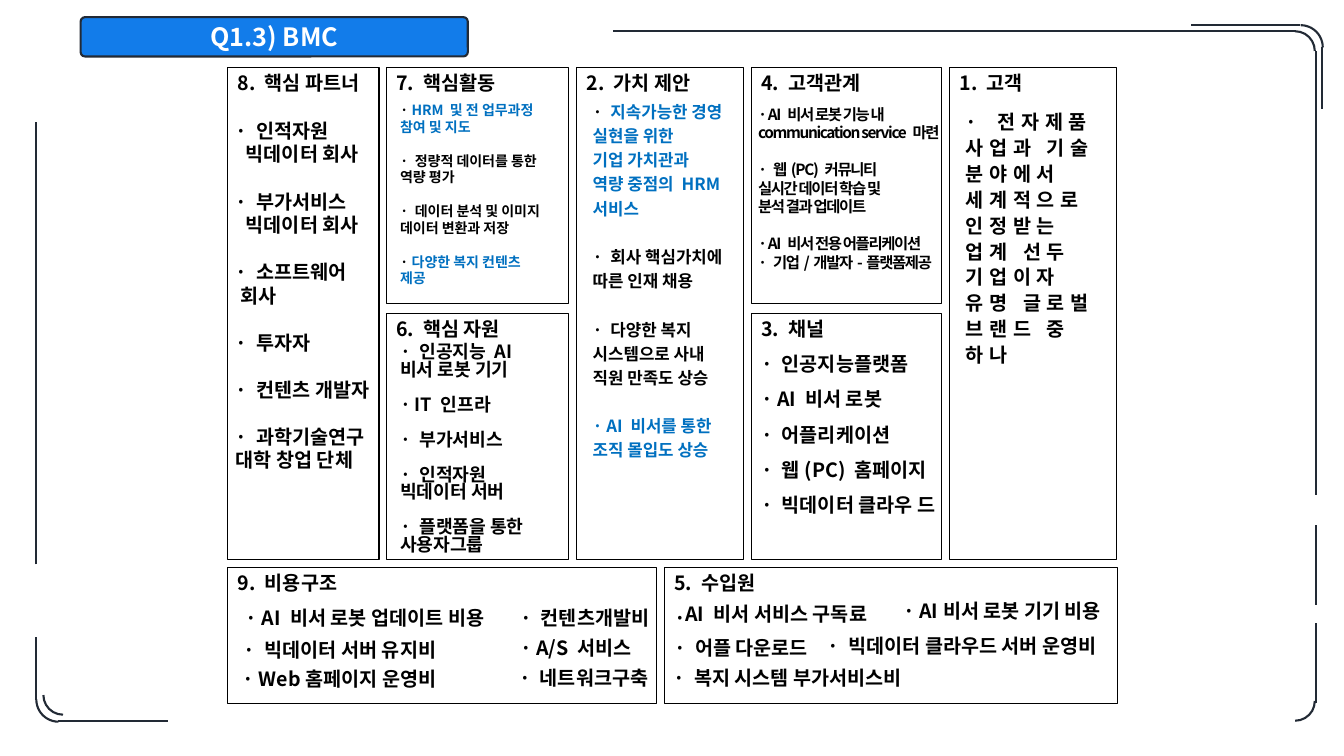
from lxml.etree import SubElement
from pptx import Presentation
from pptx.dml.color import RGBColor
from pptx.enum.shapes import MSO_CONNECTOR as Connector, MSO_SHAPE as Preset
from pptx.enum.text import MSO_ANCHOR as Anchor, MSO_AUTO_SIZE as AutoSize, PP_ALIGN as Align
from pptx.oxml.ns import qn
from pptx.util import Inches, Pt

FONT = "Noto Sans CJK KR"
LINE_HEIGHT = 1.2
BLACK = RGBColor(0, 0, 0)
WHITE = RGBColor(255, 255, 255)
BLUE = RGBColor(0x00, 0x70, 0xC0)
BANNER_BLUE = RGBColor(0x12, 0x7C, 0xEA)
NAVY = RGBColor(0x22, 0x2A, 0x35)

BLOCKS = [
    ((9.42, 0.67, 1.65, 4.88), ["1. 고객"]),
    ((5.72, 0.67, 1.65, 4.88), ["2. 가치 제안"]),
    ((7.45, 3.11, 1.89, 2.44), ["3. 채널", "· 인공지능플랫폼", "· AI 비서 로봇", "· 어플리케이션",
                                "· 웹(PC) 홈페이지", "· 빅데이터 클라우 드"]),
    ((7.45, 0.67, 1.89, 2.34), ["4. 고객관계"]),
    ((6.59, 5.63, 4.49, 1.35), ["5. 수입원", "·"]),
    ((3.83, 3.11, 1.81, 2.44), ["6. 핵심 자원"]),
    ((3.83, 0.67, 1.81, 2.34), ["7. 핵심활동"]),
    ((2.26, 0.67, 1.5, 4.88), ["8. 핵심 파트너"]),
    ((2.26, 5.63, 4.25, 1.35), ["9. 비용구조"]),
]

LABELS = [
    ((5.05, 6.56, 1.79, 0.33), "· 네트워크구축"),
    ((2.34, 5.96, 2.77, 0.33), "· AI 비서 로봇 업데이트 비용"),
    ((2.32, 6.28, 2.49, 0.33), "· 빅데이터 서버 유지비"),
    ((5.06, 5.96, 1.55, 0.33), "· 컨텐츠개발비"),
    ((5.06, 6.26, 1.4, 0.33), "· A/S 서비스"),
    ((2.31, 6.57, 2.45, 0.33), "· Web홈페이지 운영비"),
    ((6.7, 5.92, 2.4, 0.33), "AI 비서 서비스 구독료"),
    ((6.59, 6.26, 1.64, 0.33), "· 어플 다운로드"),
    ((6.58, 6.56, 2.61, 0.33), "· 복지 시스템 부가서비스비"),
    ((8.86, 5.89, 2.61, 0.33), "· AI비서 로봇 기기 비용"),
    ((8.11, 6.24, 3.12, 0.33), "· 빅데이터 클라우드 서버 운영비"),
]

PARTNERS = [
    ["· 인적자원", ("빅데이터 회사", 0.1)],
    ["· 부가서비스", ("빅데이터 회사", 0.1)],
    ["· 소프트웨어", ("회사", 0.05)],
    ["· 투자자"],
    ["· 컨텐츠 개발자"],
    ["· 과학기술연구 대학 창업 단체"],
]
ACTIVITIES = [
    ["· |HRM 및 전 업무과정 참여 및 지도"],
    ["· 정량적 데이터를 통한 역량 평가"],
    ["· 데이터 분석 및 이미지 데이터 변환과 저장"],
    ["·|다양한 복지 컨텐츠 제공"],
]
RELATIONS = [
    ["· AI 비서 로봇 기능 내 communication service 마련"],
    ["· 웹(PC) 커뮤니티", "실시간 데이터 학습 및", "분석 결과 업데이트"],
    ["· AI 비서 전용 어플리케이션", "· 기업/개발자-플랫폼제공"],
]
VALUES = [
    ["·| 지속가능한 경영 실현을 위한", "|기업 가치관과", "|역량 중점의 HRM 서비스"],
    ["· 회사 핵심가치에 따른 인재 채용"],
    ["· 다양한 복지", "시스템으로 사내 직원 만족도 상승"],
    ["|· AI 비서를 통한 조직 몰입도 상승"],
]
RESOURCES = [
    ["· 인공지능 AI 비서 로봇 기기"],
    ["· IT 인프라"],
    ["· 부가서비스"],
    ["· 인적자원 빅데이터 서버"],
    ["· 플랫폼을 통한 사용자그룹"],
]
CUSTOMERS = [["· 전자제품 사업과 기술 분야에서", "세계적으로 인정받는", "업계 선두 기업이자",
              "유명 글로벌 브랜드 중 하나"]]

NOTES = [
    ((2.24, 1.13, 1.59, 3.6), PARTNERS, {"size": 14}),
    ((3.87, 0.96, 1.67, 1.97), ACTIVITIES, {"size": 10}),
    ((7.42, 0.99, 2.08, 1.75), RELATIONS, {"size": 11, "tracking": -1}),
    ((5.78, 0.92, 1.58, 3.7), VALUES, {"size": 12, "spacing": 1.2}),
    ((3.87, 3.37, 1.71, 2.18), RESOURCES, {"size": 13, "spacing": 0.8}),
    ((9.48, 1.02, 1.61, 2.67), CUSTOMERS, {"size": 14, "spacing": 1.1, "tracking": 4}),
]

FRAME_LINES = [
    (12.85, 0.31, 6.08, 0.31), (13.05, 4.91, 13.05, 0.51), (12.89, 0.25, 11.81, 0.25),
    (13.11, 1.08, 13.11, 0.47), (13.05, 6, 13.05, 5.21), (13.05, 6.97, 13.05, 6.18),
    (0.58, 7.15, 1.67, 7.15), (0.36, 6.32, 0.36, 6.94), (0.36, 5.6, 0.36, 1.21),
]
FRAME_ARCS = [
    (12.65, 0.31, 0.39, 0), (12.68, 0.25, 0.44, 0), (12.65, 6.76, 0.39, 90),
    (0.43, 6.7, 0.39, 180), (0.36, 6.72, 0.44, 180),
]


def apply(target, values):
    for name, value in values.items():
        setattr(target, name, value)


def add_run(paragraph, text, size, color, tracking=0):
    run = paragraph.add_run()
    run.text = text
    apply(run.font, {"name": FONT, "size": Pt(size), "bold": True})
    run.font.color.rgb = color
    properties = run.font._element
    SubElement(properties, qn("a:ea")).set("typeface", FONT)
    if tracking:
        properties.set("spc", str(tracking * 100))


def add_preset(slide, preset, place, color, width, fill=None):
    shape = slide.shapes.add_shape(preset, *map(Inches, place))
    shape.shadow.inherit = False
    if fill is None:
        shape.fill.background()
    else:
        shape.fill.solid()
        shape.fill.fore_color.rgb = fill
    shape.line.color.rgb = color
    shape.line.width = Pt(width)
    return shape


def next_paragraph(frame, index):
    return frame.add_paragraph() if index else frame.paragraphs[0]


def add_block(slide, place, lines):
    frame = add_preset(slide, Preset.RECTANGLE, place, BLACK, 0.75).text_frame
    margin = Inches(0.06)
    apply(frame, {"word_wrap": True, "vertical_anchor": Anchor.TOP, "margin_left": Inches(0.1),
                  "margin_right": margin, "margin_top": margin, "margin_bottom": margin})
    for index, text in enumerate(lines):
        paragraph = next_paragraph(frame, index)
        apply(paragraph, {"alignment": Align.LEFT, "line_spacing": 0.9,
                          "space_before": Pt(10 if index else 0)})
        properties = paragraph._p.get_or_add_pPr()
        properties.set("marL", str(Inches(0.12)))
        properties.set("indent", str(-Inches(0.12)))
        add_run(paragraph, text, 14, BLACK)


def add_note(slide, place, groups, size=14, spacing=1.0, tracking=0):
    frame = slide.shapes.add_textbox(*map(Inches, place)).text_frame
    apply(frame, {"word_wrap": True, "auto_size": AutoSize.SHAPE_TO_FIT_TEXT})
    gap = Pt(round(size * LINE_HEIGHT * spacing, 1))
    lines = [(line, position) for group in groups for position, line in enumerate(group)]
    for index, (line, position) in enumerate(lines):
        text, indent = line if isinstance(line, tuple) else (line, 0)
        paragraph = next_paragraph(frame, index)
        apply(paragraph, {"line_spacing": spacing,
                          "space_before": gap if index and position == 0 else Pt(0)})
        if indent:
            paragraph._p.get_or_add_pPr().set("marL", str(Inches(indent)))
        for part, color in zip(text.split("|"), (BLACK, BLUE)):
            if part:
                add_run(paragraph, part, size, color, tracking)


def add_banner(slide):
    shape = add_preset(slide, Preset.ROUNDED_RECTANGLE, (0.8, 0.17, 3.84, 0.39), NAVY, 1.5, BANNER_BLUE)
    shape.adjustments[0] = 0.11
    shape.text_frame.vertical_anchor = Anchor.MIDDLE
    paragraph = shape.text_frame.paragraphs[0]
    paragraph.alignment = Align.CENTER
    add_run(paragraph, "Q1.3) BMC", 18, WHITE)


def add_frame_line(slide, ends):
    connector = slide.shapes.add_connector(Connector.STRAIGHT, *map(Inches, ends))
    connector.line.color.rgb = NAVY
    connector.line.width = Pt(1.5)
    SubElement(connector._element.spPr, qn("a:effectLst"))


def main():
    presentation = Presentation()
    apply(presentation, {"slide_width": Inches(13.33), "slide_height": Inches(7.5)})
    slide = presentation.slides.add_slide(presentation.slide_layouts[6])
    for place, lines in BLOCKS:
        add_block(slide, place, lines)
    add_banner(slide)
    for ends in FRAME_LINES:
        add_frame_line(slide, ends)
    for left, top, size, rotation in FRAME_ARCS:
        add_preset(slide, Preset.ARC, (left, top, size, size), NAVY, 1.5).rotation = rotation
    for place, text in LABELS:
        add_note(slide, place, [[text]])
    for place, groups, style in NOTES:
        add_note(slide, place, groups, **style)
    presentation.save("out.pptx")


if __name__ == "__main__":
    main()
